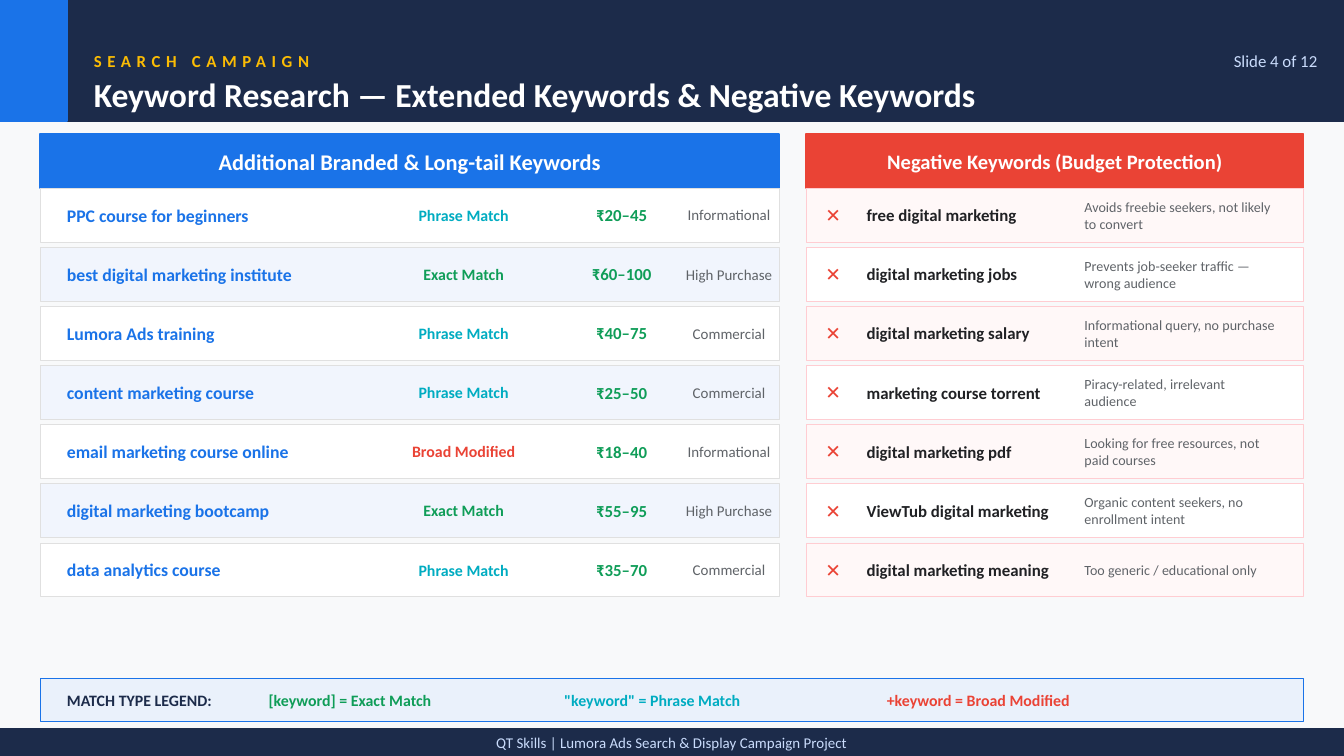
from dataclasses import dataclass

from lxml import etree
from pptx import Presentation
from pptx.dml.color import RGBColor
from pptx.enum import shapes, text
from pptx.util import Emu, Pt

PX = 914400 // 200  # 200 px to the inch
CENTER, LEFT, RIGHT = text.PP_ALIGN.CENTER, text.PP_ALIGN.LEFT, text.PP_ALIGN.RIGHT
MIDDLE, BOTTOM = text.MSO_ANCHOR.MIDDLE, text.MSO_ANCHOR.BOTTOM


@dataclass(frozen=True)
class Theme:
    font: str = "Calibri"
    # Colours
    page: str = "F8F9FA"
    navy: str = "1C2B4A"
    blue: str = "1A73E8"
    red: str = "EA4335"
    green: str = "0F9D58"
    teal: str = "00ACC1"
    yellow: str = "FBBC04"
    white: str = "FFFFFF"
    ink: str = "202124"
    grey: str = "5F6368"
    pale_blue: str = "CADCFC"
    blue_stripe: str = "F1F5FD"
    red_stripe: str = "FFF8F8"
    legend_fill: str = "EAF1FB"
    grey_border: str = "E0E0E0"
    red_border: str = "FFCDD2"
    # Type sizes
    title: float = 18
    heading: float = 12
    subheading: float = 11
    cross: float = 10
    keyword: float = 9.5
    label: float = 9
    match: float = 8.5
    small: float = 8
    note: float = 7.5
    # Line widths
    line: float = 1
    hairline: float = 0.3


THEME = Theme()
MATCH_COLOURS = {"Exact Match": THEME.green, "Phrase Match": THEME.teal,
                 "Broad Modified": THEME.red}

KEYWORDS = [
    ("PPC course for beginners", "Phrase Match", "₹20–45", "Informational"),
    ("best digital marketing institute", "Exact Match", "₹60–100", "High Purchase"),
    ("Lumora Ads training", "Phrase Match", "₹40–75", "Commercial"),
    ("content marketing course", "Phrase Match", "₹25–50", "Commercial"),
    ("email marketing course online", "Broad Modified", "₹18–40", "Informational"),
    ("digital marketing bootcamp", "Exact Match", "₹55–95", "High Purchase"),
    ("data analytics course", "Phrase Match", "₹35–70", "Commercial"),
]
NEGATIVES = [
    ("free digital marketing", "Avoids freebie seekers, not likely to convert"),
    ("digital marketing jobs", "Prevents job-seeker traffic — wrong audience"),
    ("digital marketing salary", "Informational query, no purchase intent"),
    ("marketing course torrent", "Piracy-related, irrelevant audience"),
    ("digital marketing pdf", "Looking for free resources, not paid courses"),
    ("ViewTub digital marketing", "Organic content seekers, no enrollment intent"),
    ("digital marketing meaning", "Too generic / educational only"),
]
LEGEND = [  # offset, width, notation, match type
    (320, 440, "[keyword]", "Exact Match"),
    (760, 480, '"keyword"', "Phrase Match"),
    (1240, 500, "+keyword", "Broad Modified"),
]


def add_box(slide, box, fill, border=None, width=THEME.line):
    shape = slide.shapes.add_shape(shapes.MSO_SHAPE.RECTANGLE, *(Emu(v * PX) for v in box))
    shape.shadow.inherit = False
    shape.fill.solid()
    shape.fill.fore_color.rgb = RGBColor.from_string(fill)
    shape.line.color.rgb = RGBColor.from_string(border or fill)
    shape.line.width = Pt(width)


def add_label(slide, box, words, size, colour, bold=True, align=LEFT,
              anchor=MIDDLE, inset=True, spacing=0):
    shape = slide.shapes.add_textbox(*(Emu(v * PX) for v in box))
    frame = shape.text_frame
    frame.word_wrap = True
    frame.vertical_anchor = anchor
    if not inset:
        frame.margin_left = frame.margin_right = frame.margin_top = frame.margin_bottom = 0
    paragraph = frame.paragraphs[0]
    paragraph.alignment = align
    run = paragraph.add_run()
    run.text = words
    run.font.name = THEME.font
    run.font.size = Pt(size)
    run.font.bold = bold
    run.font.color.rgb = RGBColor.from_string(colour)
    if spacing:
        run.font._element.set("spc", str(spacing * 100))


def row_boxes(box, count, height=80, pitch=88):
    """Boxes of the rows below a panel heading."""
    left, top, width, _ = box
    return [(left, top + height + i * pitch, width, height) for i in range(count)]


def add_header(slide, box):
    left, top, width, height = box
    add_box(slide, box, THEME.navy)
    add_box(slide, (left, top, 100, height), THEME.blue)
    add_label(slide, (left + 120, top, 600, height), "SEARCH CAMPAIGN",
              THEME.label, THEME.yellow, spacing=3)
    add_label(slide, (left + 120, top, 1800, height),
              "Keyword Research — Extended Keywords & Negative Keywords",
              THEME.title, THEME.white, anchor=BOTTOM)
    add_label(slide, (left + width - 300, top, 280, height), "Slide 4 of 12",
              THEME.label, THEME.pale_blue, bold=False, align=RIGHT)


def add_panel_heading(slide, box, words, size, fill):
    add_box(slide, box, fill)
    add_label(slide, box, words, size, THEME.white, align=CENTER, inset=False)


def add_keyword_panel(slide, box):
    add_panel_heading(slide, box, "Additional Branded & Long-tail Keywords",
                      THEME.heading, THEME.blue)
    for i, (row, entry) in enumerate(zip(row_boxes(box, len(KEYWORDS)), KEYWORDS)):
        left, top, _, height = row
        keyword, match, bid, intent = entry
        add_box(slide, row, THEME.blue_stripe if i % 2 else THEME.white,
                THEME.grey_border, THEME.hairline)
        add_label(slide, (left + 20, top, 460, height), keyword, THEME.keyword, THEME.blue)
        # Centred columns: match type, bid range, intent
        for offset, width, words, size, colour, bold in (
                (490, 280, match, THEME.match, MATCH_COLOURS[match], True),
                (780, 170, bid, THEME.label, THEME.green, True),
                (960, 130, intent, THEME.small, THEME.grey, False)):
            add_label(slide, (left + offset, top, width, height), words, size, colour,
                      bold=bold, align=CENTER, inset=False)


def add_negative_panel(slide, box):
    add_panel_heading(slide, box, "Negative Keywords (Budget Protection)",
                      THEME.subheading, THEME.red)
    for i, (row, entry) in enumerate(zip(row_boxes(box, len(NEGATIVES)), NEGATIVES)):
        left, top, _, height = row
        keyword, reason = entry
        add_box(slide, row, THEME.white if i % 2 else THEME.red_stripe,
                THEME.red_border, THEME.hairline)
        add_label(slide, (left + 10, top, 60, height), "✕", THEME.cross, THEME.red,
                  align=CENTER, inset=False)
        add_label(slide, (left + 70, top, 320, height), keyword, THEME.label, THEME.ink)
        add_label(slide, (left + 394, top, 330, height), reason, THEME.note, THEME.grey,
                  bold=False)


def add_legend(slide, box):
    left, top, _, height = box
    add_box(slide, box, THEME.legend_fill, THEME.blue, THEME.hairline)
    add_label(slide, (left + 20, top, 300, height), "MATCH TYPE LEGEND:",
              THEME.match, THEME.navy)
    for offset, width, notation, match in LEGEND:
        add_label(slide, (left + offset, top, width, height), f"{notation} = {match}",
                  THEME.match, MATCH_COLOURS[match])


def add_footer(slide, box):
    add_box(slide, box, THEME.navy)
    add_label(slide, box, "QT Skills | Lumora Ads Search & Display Campaign Project",
              THEME.small, THEME.pale_blue, bold=False, align=CENTER, inset=False)


def main():
    presentation = Presentation()
    presentation.slide_width = Emu(2000 * PX)
    presentation.slide_height = Emu(1125 * PX)
    slide = presentation.slides.add_slide(presentation.slide_layouts[6])
    slide.background.fill.solid()
    slide.background.fill.fore_color.rgb = RGBColor.from_string(THEME.page)

    add_header(slide, (0, 0, 2000, 180))
    add_keyword_panel(slide, (60, 200, 1100, 80))
    add_negative_panel(slide, (1200, 200, 740, 80))
    add_legend(slide, (60, 1010, 1880, 64))
    add_footer(slide, (0, 1085, 2000, 40))
    presentation.save("out.pptx")


if __name__ == "__main__":
    main()
